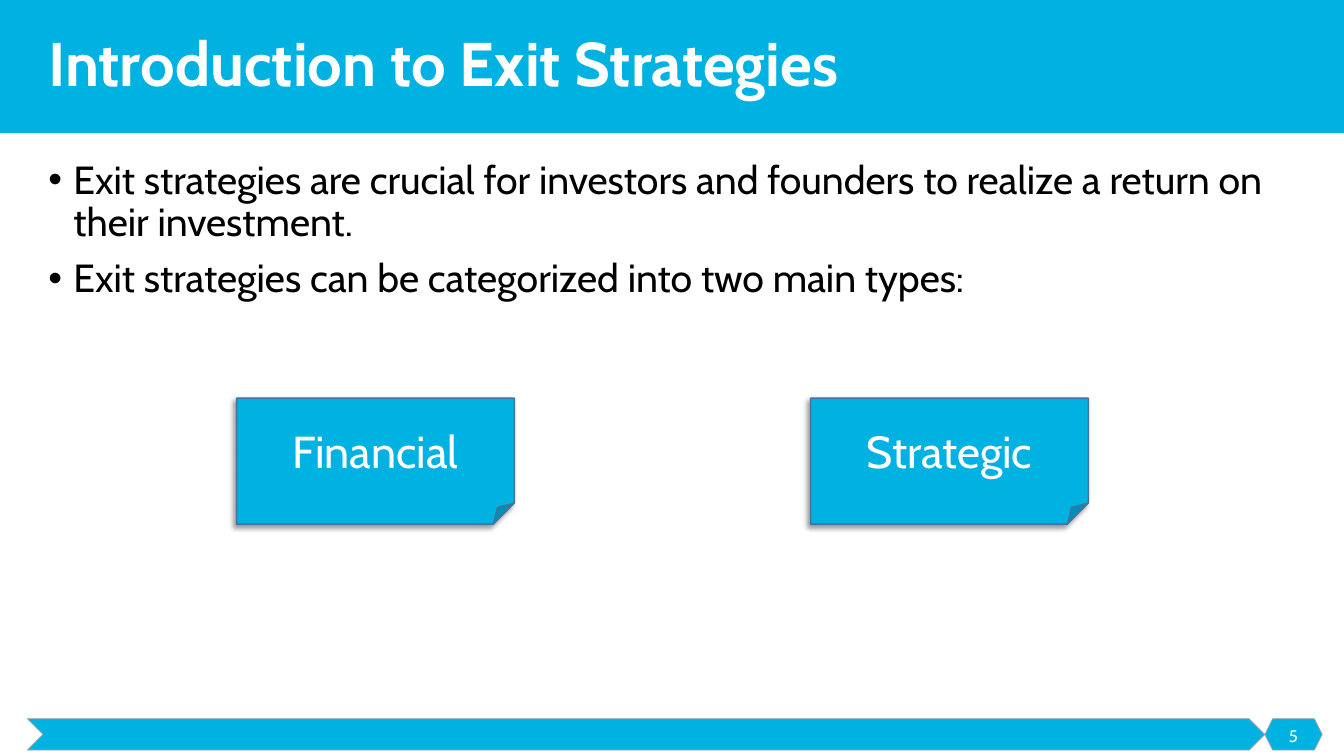
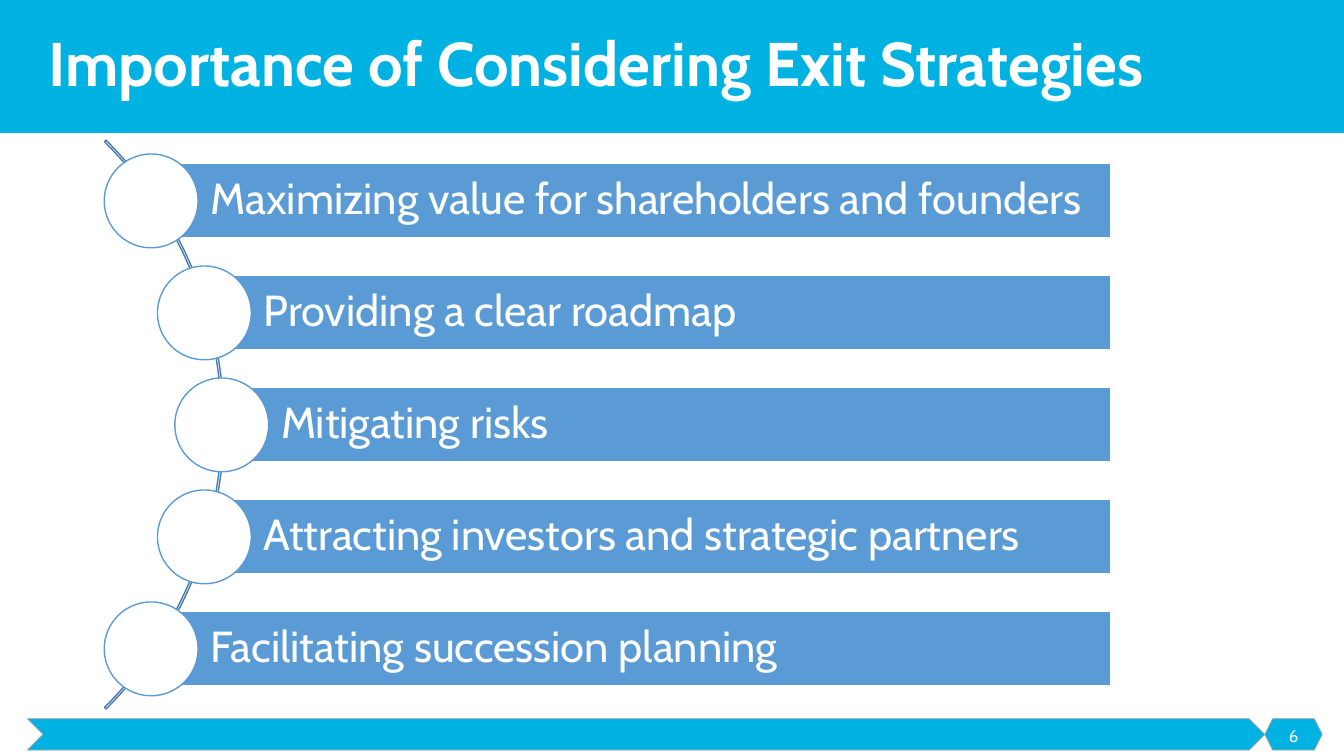
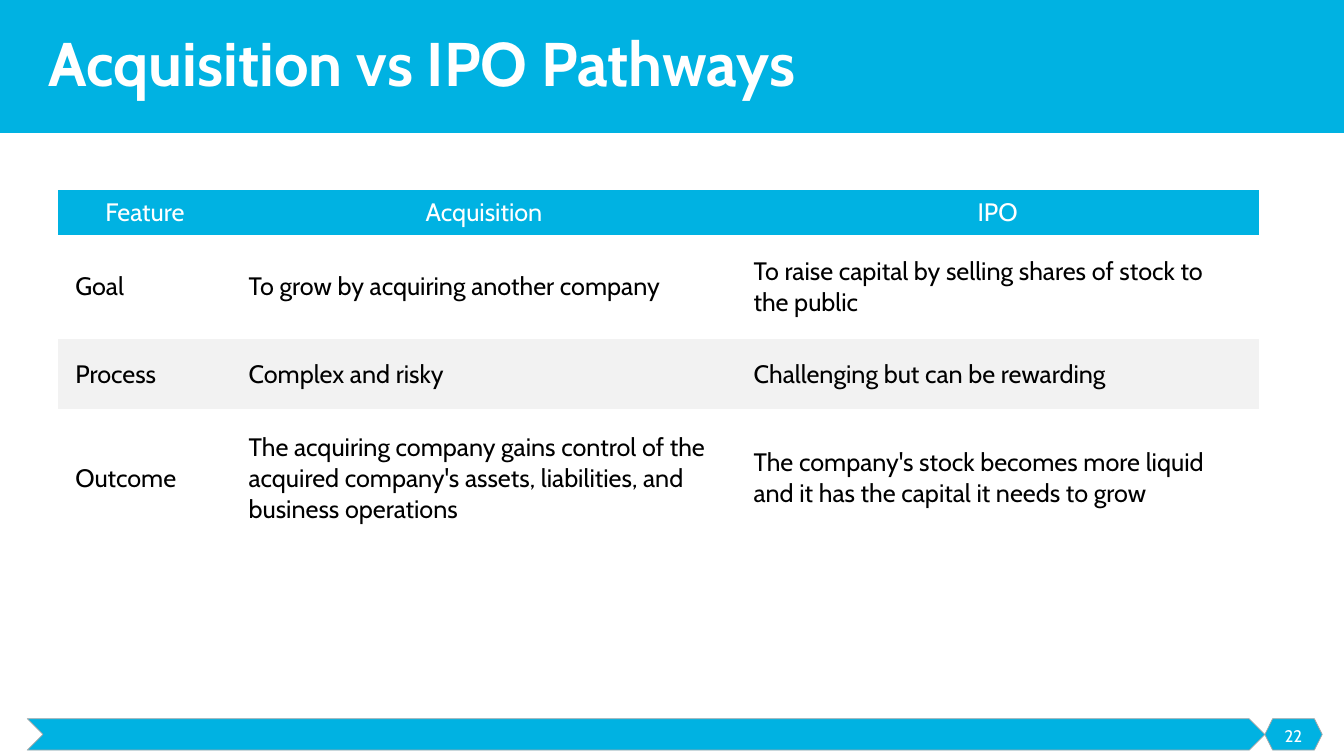
"""Build three slides on exit strategies for founders and investors."""
from dataclasses import dataclass
from typing import NamedTuple

from lxml.etree import SubElement
from pptx import Presentation
from pptx.dml.color import RGBColor
from pptx.enum.shapes import MSO_SHAPE
from pptx.enum.text import MSO_ANCHOR, PP_ALIGN
from pptx.oxml.ns import qn
from pptx.util import Pt

FONT = "Cabin"
CYAN, BLUE, WHITE, BLACK = "00B2E2", "5B9BD5", "FFFFFF", "000000"
GREY, NAVY, STEEL, PALE = "A5A5A5", "43739E", "497CAB", "F2F2F2"
PLAIN = "{2D5ABB26-0587-4C30-8999-92F81FD0307C}"
CENTER, LEFT = PP_ALIGN.CENTER, PP_ALIGN.LEFT
MIDDLE, TOP = MSO_ANCHOR.MIDDLE, MSO_ANCHOR.TOP


class Box(NamedTuple):
    left: float
    top: float
    width: float
    height: float

    def points(self):
        return [Pt(side) for side in self]


@dataclass
class Style:
    size: float
    color: str = WHITE
    bold: bool = False
    align: int = LEFT
    spacing: float = 1.0


class Step(NamedTuple):
    shift: float
    text: str


TITLE = Style(44, bold=True, spacing=0.9)
BODY = Style(28, BLACK, spacing=0.9)
NUMBER = Style(12, align=CENTER)
LABEL = Style(32, align=CENTER)
BAR = Style(31, spacing=0.9)
HEAD = Style(18, align=CENTER)
CELL = Style(18, BLACK)

POINTS = [
    "Exit strategies are crucial for investors and founders to realize a return on their investment.",
    "Exit strategies can be categorized into two main types:",
]
KINDS = ["Financial", "Strategic"]
STEPS = [
    Step(0, "Maximizing value for shareholders and founders"),
    Step(38, "Providing a clear roadmap"),
    Step(50.4, "Mitigating risks"),
    Step(38, "Attracting investors and strategic partners"),
    Step(0, "Facilitating succession planning"),
]
COLUMNS = [123.8, 360.7, 373]
HEIGHTS = [32, 74, 50.4, 98.6]
ROWS = [
    ["Feature", "Acquisition", "IPO"],
    ["Goal", "To grow by acquiring another company",
     "To raise capital by selling shares of stock to the public"],
    ["Process", "Complex and risky", "Challenging but can be rewarding"],
    ["Outcome",
     "The acquiring company gains control of the acquired company's assets, "
     "liabilities, and business operations",
     "The company's stock becomes more liquid and it has the capital it needs to grow"],
]


def paint(target, color: str) -> None:
    if hasattr(target, "solid"):
        target.solid()
        target = target.fore_color
    else:
        target = target.color
    target.rgb = RGBColor.from_string(color)


def apply(target, values: dict) -> None:
    for name, value in values.items():
        setattr(target, name, value)


def write(frame, texts: list[str], style: Style, bullet: bool = False) -> None:
    for index, text in enumerate(texts):
        para = frame.add_paragraph() if index else frame.paragraphs[0]
        para.text = text
        apply(para, {"alignment": style.align, "line_spacing": style.spacing})
        if index:
            para.space_before = Pt(10)
        if bullet:
            props = para._p.get_or_add_pPr()
            props.set("marL", str(Pt(18)))
            props.set("indent", str(-Pt(18)))
            SubElement(props, qn("a:buFont"), typeface="Arial")
            SubElement(props, qn("a:buChar"), char="•")
        font = para.runs[0].font
        apply(font, {"name": FONT, "size": Pt(style.size), "bold": style.bold})
        paint(font, style.color)


def put_text(slide, box: Box, texts: list[str], style: Style,
             anchor=MIDDLE, bullet: bool = False) -> None:
    frame = slide.shapes.add_textbox(*box.points()).text_frame
    apply(frame, {"word_wrap": True, "vertical_anchor": anchor})
    write(frame, texts, style, bullet)


def put_shape(slide, kind, box: Box, fill: str = "", line: str = "", weight: float = 1):
    shape = slide.shapes.add_shape(kind, *box.points())
    shape.shadow.inherit = False
    if fill:
        paint(shape.fill, fill)
    else:
        shape.fill.background()
    if line:
        paint(shape.line, line)
        shape.line.width = Pt(weight)
    else:
        shape.line.fill.background()
    return shape


def cast(shape) -> None:
    effects = shape._element.spPr.find(qn("a:effectLst"))
    shade = SubElement(effects, qn("a:outerShdw"), blurRad=str(Pt(4)), dist=str(Pt(3)),
                       dir="8100000", algn="tr", rotWithShape="0")
    color = SubElement(shade, qn("a:srgbClr"), val=BLACK)
    SubElement(color, qn("a:alpha"), val="40000")


def start(deck, title: str, number: int):
    slide = deck.slides.add_slide(deck.slide_layouts[6])
    put_shape(slide, MSO_SHAPE.RECTANGLE, Box(0, 0, 960, 95), CYAN)
    put_shape(slide, MSO_SHAPE.CHEVRON, Box(19.5, 513.4, 884, 22.4), CYAN, GREY, 0.5)
    put_shape(slide, MSO_SHAPE.HEXAGON, Box(903.5, 513.4, 41, 22.4), CYAN, GREY, 0.5)
    put_text(slide, Box(27.4, 0, 917, 95), [title], TITLE)
    put_text(slide, Box(903.5, 511.2, 41, 28.8), [str(number)], NUMBER)
    return slide


def add_intro(deck) -> None:
    slide = start(deck, "Introduction to Exit Strategies", 5)
    put_text(slide, Box(27.4, 111, 917, 373.7), POINTS, BODY, TOP, True)
    for index, kind in enumerate(KINDS):
        box = Box(169 + index * 410, 284.4, 198.4, 90)
        card = put_shape(slide, MSO_SHAPE.FOLDED_CORNER, box, CYAN, NAVY)
        cast(card)
        card.text_frame.vertical_anchor = MIDDLE
        write(card.text_frame, [kind], LABEL)


def add_steps(deck) -> None:
    slide = start(deck, "Importance of Considering Exit Strategies", 6)
    arc = put_shape(slide, MSO_SHAPE.BLOCK_ARC, Box(-414.7, 16, 574.6, 574.6), line=STEEL)
    for index, value in enumerate((189, 27, 0.0027)):
        arc.adjustments[index] = value
    right, pitch, disc = 793.4, 80, 67
    for index, step in enumerate(STEPS):
        left, top = 108 + step.shift, 116.8 + index * pitch
        bar = put_shape(slide, MSO_SHAPE.RECTANGLE,
                        Box(left, top, right - left, 53.3), BLUE, WHITE)
        frame = bar.text_frame
        apply(frame, {"word_wrap": True, "vertical_anchor": MIDDLE, "margin_left": Pt(42.4),
                      "margin_right": Pt(6.2), "margin_top": Pt(6.2), "margin_bottom": Pt(6.2)})
        write(frame, [step.text], BAR)
        put_shape(slide, MSO_SHAPE.OVAL,
                  Box(left - disc / 2, top - 6.8, disc, disc), WHITE, BLUE)


def add_paths(deck) -> None:
    slide = start(deck, "Acquisition vs IPO Pathways", 22)
    box = Box(41.6, 136, sum(COLUMNS), sum(HEIGHTS))
    table = slide.shapes.add_table(len(ROWS), len(COLUMNS), *box.points()).table
    apply(table, {"first_row": False, "horz_banding": False})
    table._tbl.tblPr.find(qn("a:tableStyleId")).text = PLAIN
    for column, width in zip(table.columns, COLUMNS):
        column.width = Pt(width)
    sides = ("left", "right", "top", "bottom")
    inset = {f"margin_{side}": Pt(12.2) for side in sides}
    for row, (texts, height) in enumerate(zip(ROWS, HEIGHTS)):
        table.rows[row].height = Pt(height)
        fill = CYAN if row == 0 else PALE if row == 2 else WHITE
        for column, text in enumerate(texts):
            cell = table.cell(row, column)
            cell.vertical_anchor = MIDDLE
            if row:
                apply(cell, inset)
            paint(cell.fill, fill)
            write(cell.text_frame, [text], CELL if row else HEAD)


def main() -> None:
    deck = Presentation()
    apply(deck, {"slide_width": Pt(960), "slide_height": Pt(540)})
    for build in (add_intro, add_steps, add_paths):
        build(deck)
    deck.save("out.pptx")


if __name__ == "__main__":
    main()
